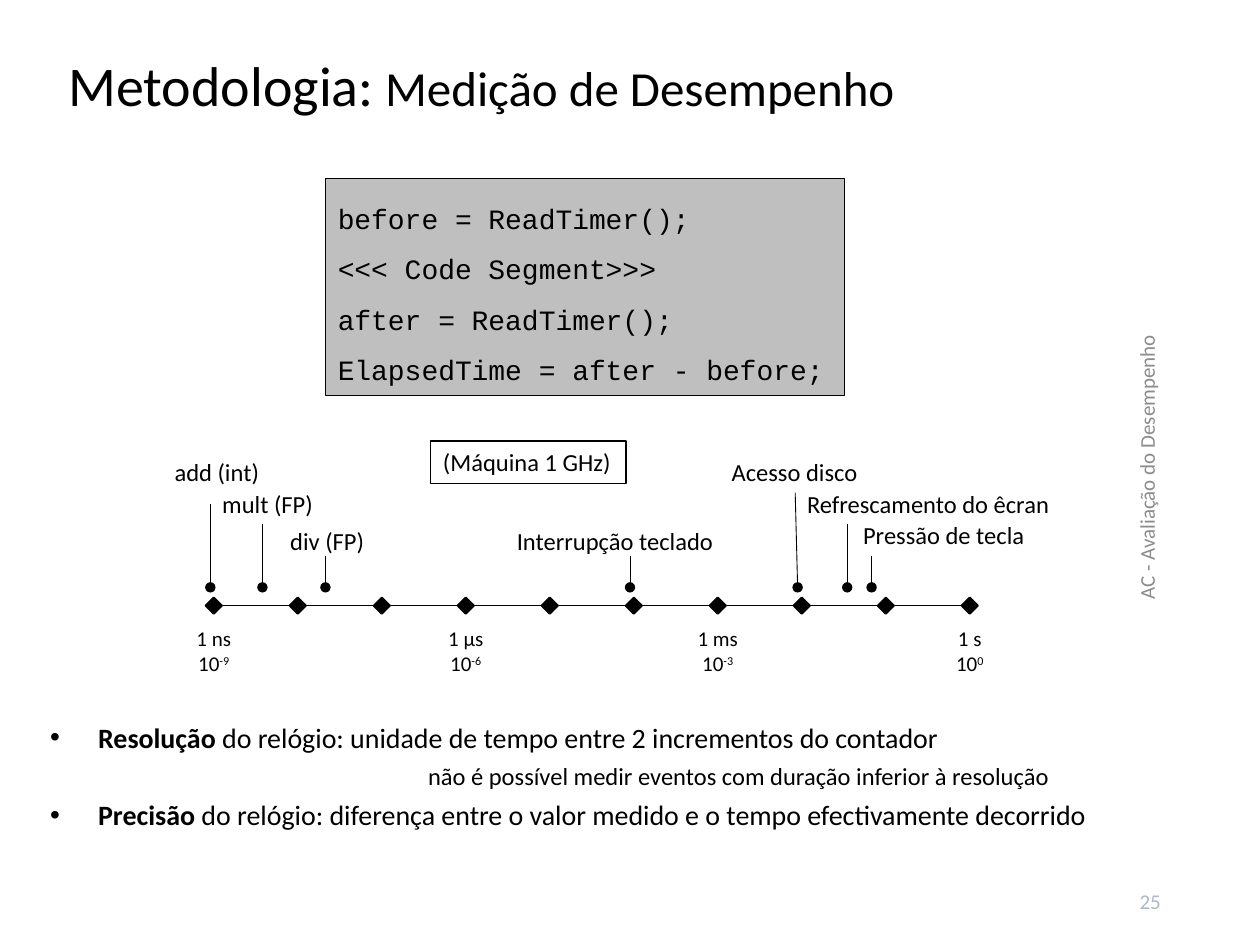
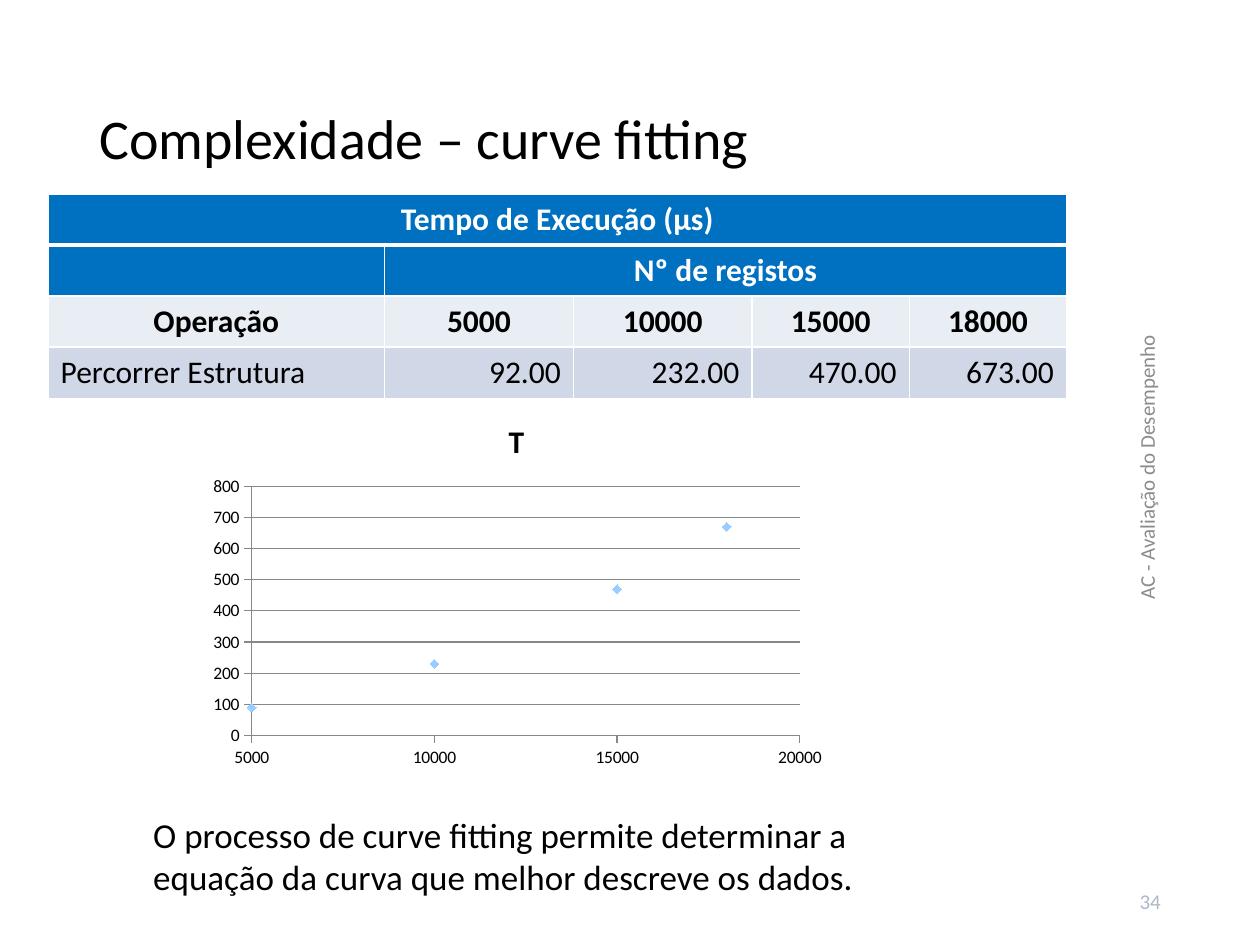
from lxml import etree
from pptx import Presentation
from pptx.chart.data import XyChartData
from pptx.dml.color import RGBColor
from pptx.enum.chart import XL_CHART_TYPE, XL_MARKER_STYLE, XL_TICK_MARK
from pptx.enum.shapes import MSO_CONNECTOR, MSO_SHAPE
from pptx.enum.text import MSO_ANCHOR, MSO_AUTO_SIZE, PP_ALIGN
from pptx.oxml.ns import qn
from pptx.util import Cm, Pt

LEFT, CENTER, RIGHT = PP_ALIGN.LEFT, PP_ALIGN.CENTER, PP_ALIGN.RIGHT
TOP, MIDDLE = MSO_ANCHOR.TOP, MSO_ANCHOR.MIDDLE
GROW = MSO_AUTO_SIZE.SHAPE_TO_FIT_TEXT
RECTANGLE, DIAMOND = MSO_SHAPE.RECTANGLE, MSO_SHAPE.DIAMOND
STRAIGHT = MSO_CONNECTOR.STRAIGHT
SCATTER = XL_CHART_TYPE.XY_SCATTER
DIAMOND_MARKER = XL_MARKER_STYLE.DIAMOND
TICK_OUTSIDE = XL_TICK_MARK.OUTSIDE

BODY_FONT, CODE_FONT = "Calibri", "Courier New"
TITLE_ONLY = 5
COLORS = {
    "text": "000000",
    "page": "ADB9CA",
    "footer": "8C8C8C",
    "code": "BFBFBF",
    "white": "FFFFFF",
    "header": "0070C0",
    "light row": "E9EDF4",
    "dark row": "D0D8E8",
    "grid": "878787",
    "marker": "99CCFF",
}

CODE = [
    "before = ReadTimer();",
    "<<< Code Segment>>>",
    "after = ReadTimer();",
    "ElapsedTime = after - before;",
]

# Time scale: one mark per power of ten, from 1 ns to 1 s
SCALE_LEFT, SCALE_WIDTH, SCALE_Y, SCALE_STEPS = 4.31, 15.24, 12.21, 9
MARK_SIZE = 0.33
PIN_FOOT = 11.84
SCALE_LABELS = [(0, "1 ns", "-9"), (3, "1 µs", "-6"), (6, "1 ms", "-3"), (9, "1 s", "0")]
# label, left, top, width, pin foot x, pin head x, pin head y
EVENTS = [
    ("add (int)", 3.27, 9.09, 2.24, 4.24, 4.24, 10.16),
    ("mult (FP)", 4.23, 9.73, 2.36, 5.29, 5.29, 10.57),
    ("div (FP)", 5.6, 10.47, 2.01, 6.56, 6.56, 11.2),
    ("Interrupção teclado", 10.17, 10.47, 4.5, 12.7, 12.7, 11.2),
    ("Acesso disco", 14.5, 9.09, 3.07, 16.08, 16.03, 9.93),
    ("Refrescamento do êcran", 16.02, 9.73, 5.44, 17.08, 17.08, 10.57),
    ("Pressão de tecla", 17.15, 10.36, 3.78, 17.57, 17.57, 11.2),
]

RECORD_COUNTS = [5000, 10000, 15000, 18000]
TIMES = [92, 232, 470, 673]


def rgb(name):
    return RGBColor.from_string(COLORS[name])


def box(left, top, width, height):
    return Cm(left), Cm(top), Cm(width), Cm(height)


def style(font, size, color="text", bold=False, name=BODY_FONT):
    font.name, font.size, font.bold = name, Pt(size), bold
    font.color.rgb = rgb(color)


def add_child(parent, tag, **attributes):
    return etree.SubElement(parent, qn(tag), attributes)


def write(frame, lines, size, color="text", align=LEFT, name=BODY_FONT, spacing=None):
    for index, line in enumerate(lines):
        paragraph = frame.paragraphs[0] if index == 0 else frame.add_paragraph()
        paragraph.text = line
        paragraph.alignment = align
        paragraph.line_spacing = spacing
        style(paragraph.font, size, color, name=name)


def add_text(shapes, area, lines, size, color="text", align=LEFT,
             anchor=TOP, wrap=True, grow=False):
    label = shapes.add_textbox(*box(*area))
    frame = label.text_frame
    frame.word_wrap, frame.vertical_anchor = wrap, anchor
    if grow:
        frame.auto_size = GROW
    write(frame, lines, size, color, align)
    return label


def add_framed_text(shapes, area, lines, size, fill=None, **text_style):
    frame_shape = shapes.add_shape(RECTANGLE, *box(*area))
    frame_shape.shadow.inherit = False
    if fill:
        frame_shape.fill.solid()
        frame_shape.fill.fore_color.rgb = rgb(fill)
    else:
        frame_shape.fill.background()
    frame_shape.line.color.rgb = rgb("text")
    frame_shape.line.width = Pt(0.75)
    frame = frame_shape.text_frame
    frame.word_wrap, frame.auto_size, frame.vertical_anchor = False, GROW, TOP
    write(frame, lines, size, **text_style)


def add_line(shapes, start, end, dot=False):
    """Draw a thin line, with a round dot at its start if asked."""
    line = shapes.add_connector(STRAIGHT, *map(Cm, start + end))
    line.line.color.rgb = rgb("text")
    line.line.width = Pt(0.5)
    properties = line._element.spPr
    if dot:
        add_child(properties.find(qn("a:ln")), "a:headEnd", type="oval")
    add_child(properties, "a:effectLst")


def add_slide(deck, title_area, title_parts, page):
    """Add a slide with title, page number and sideways footer."""
    slide = deck.slides.add_slide(deck.slide_layouts[TITLE_ONLY])
    title = slide.shapes.title
    title.left, title.top, title.width, title.height = box(*title_area)
    title.text_frame.vertical_anchor = MIDDLE
    paragraph = title.text_frame.paragraphs[0]
    paragraph.alignment, paragraph.line_spacing = LEFT, 0.9
    for text, size in title_parts:
        run = paragraph.add_run()
        run.text = text
        style(run.font, size)
    add_text(slide.shapes, (17.93, 17.65, 5.72, 1.02), [page], 12, "page", RIGHT, MIDDLE)
    footer = add_text(slide.shapes, (16.03, 8.91, 14.17, 1.02),
                      ["AC - Avaliação do Desempenho"], 12, "footer", CENTER, MIDDLE)
    footer.rotation = 270
    return slide


def add_scale_label(shapes, center, unit, exponent):
    label = add_text(shapes, (center - 0.75, 12.48, 1.5, 1.27), [unit, "10"], 12,
                     align=CENTER, wrap=False, grow=True)
    power = label.text_frame.paragraphs[1].add_run()
    power.text = exponent
    power._r.get_or_add_rPr().set("baseline", "30000")


def add_timeline(slide):
    shapes = slide.shapes.add_group_shape().shapes
    add_line(shapes, (SCALE_LEFT, SCALE_Y), (SCALE_LEFT + SCALE_WIDTH, SCALE_Y))
    centers = [SCALE_LEFT + SCALE_WIDTH * i / SCALE_STEPS for i in range(SCALE_STEPS + 1)]
    for center in centers:
        mark = shapes.add_shape(DIAMOND, *box(center - MARK_SIZE / 2, SCALE_Y - MARK_SIZE / 2,
                                              MARK_SIZE, MARK_SIZE))
        mark.shadow.inherit = False
        mark.fill.solid()
        mark.fill.fore_color.rgb = mark.line.color.rgb = rgb("text")
        mark.line.width = Pt(1)
    for step, unit, exponent in SCALE_LABELS:
        add_scale_label(shapes, centers[step], unit, exponent)
    for label, left, top, width, foot_x, head_x, head_y in EVENTS:
        add_text(shapes, (left, top, width, 0.86), [label], 14, wrap=False, grow=True)
        add_line(shapes, (foot_x, PIN_FOOT), (head_x, head_y), dot=True)
    add_framed_text(shapes, (8.68, 8.89, 3.94, 0.86), ["(Máquina 1 GHz)"], 14)


def add_definition(paragraph, term, meaning):
    """Write a bulleted line that opens with a bold term."""
    properties = paragraph._p.get_or_add_pPr()
    properties.set("marL", str(Cm(0.97)))
    properties.set("indent", str(-Cm(0.97)))
    add_child(properties, "a:buFont", typeface="Arial")
    add_child(properties, "a:buChar", char="•")
    paragraph.space_before = Pt(3.2)
    style(paragraph.font, 16)
    for text, bold in ((term, True), (meaning, False)):
        run = paragraph.add_run()
        run.text, run.font.bold = text, bold


def add_definitions(slide):
    frame = slide.shapes.add_textbox(*box(0.76, 14.4, 22.86, 3.05)).text_frame
    frame.word_wrap = True
    add_definition(frame.paragraphs[0], "Resolução",
                   " do relógio: unidade de tempo entre 2 incrementos do contador")
    consequence = frame.add_paragraph()
    consequence._p.get_or_add_pPr().set("marL", str(Cm(7.62)))
    consequence.text = "não é possível medir eventos com duração inferior à resolução"
    consequence.space_before, consequence.space_after = Pt(4), Pt(1)
    style(consequence.font, 14)
    add_definition(frame.add_paragraph(), "Precisão",
                   " do relógio: diferença entre o valor medido e o tempo efectivamente decorrido")


def format_cell(cell, text, fill, color, bold, align, top=1, bottom=1):
    properties = cell._tc.get_or_add_tcPr()
    for side, width in (("L", 1), ("R", 1), ("T", top), ("B", bottom)):
        border = add_child(properties, f"a:ln{side}", w=str(Pt(width)))
        add_child(add_child(border, "a:solidFill"), "a:srgbClr", val=COLORS["white"])
    cell.fill.solid()
    cell.fill.fore_color.rgb = rgb(fill)
    paragraph = cell.text_frame.paragraphs[0]
    paragraph.text, paragraph.alignment = text, align
    style(paragraph.font, 18, color, bold)


def add_times_table(slide):
    # texts, fill, text colour, bold, alignment of values, top and bottom border
    rows = [
        (["Tempo de Execução (µs)"] + [""] * 4, "header", "white", True, CENTER, 1, 3),
        (["", "Nº de registos"] + [""] * 3, "header", "white", True, CENTER, 3, 1),
        (["Operação", *map(str, RECORD_COUNTS)], "light row", "text", True, CENTER, 1, 1),
        (["Percorrer Estrutura"] + [f"{time:.2f}" for time in TIMES],
         "dark row", "text", False, RIGHT, 1, 1),
    ]
    widths = [6.78, 3.81, 3.6, 3.17, 3.17]
    table = slide.shapes.add_table(len(rows), len(widths),
                                   *box(0.97, 3.91, sum(widths), 4.12)).table
    for column, width in zip(table.columns, widths):
        column.width = Cm(width)
    for r, (texts, fill, color, bold, align, top, bottom) in enumerate(rows):
        for c, text in enumerate(texts):
            cell_align = LEFT if align == RIGHT and c == 0 else align
            format_cell(table.cell(r, c), text, fill, color, bold, cell_align, top, bottom)
    table.cell(0, 0).merge(table.cell(0, 4))
    table.cell(1, 1).merge(table.cell(1, 4))


def format_axis(axis, low, high, step, gridlines):
    axis.minimum_scale, axis.maximum_scale, axis.major_unit = low, high, step
    axis.major_tick_mark = TICK_OUTSIDE
    axis.has_major_gridlines = gridlines
    lines = [axis.format.line]
    if gridlines:
        lines.append(axis.major_gridlines.format.line)
    for line in lines:
        line.color.rgb = rgb("grid")
        line.width = Pt(0.75)
    axis.tick_labels.number_format = "General"
    axis.tick_labels.number_format_is_linked = False


def place_plot(chart, **fractions):
    """Fix the inner plot area as fractions of the chart."""
    plot_area = chart._chartSpace.chart.plotArea
    for old in plot_area.findall(qn("c:layout")):
        plot_area.remove(old)
    layout = etree.Element(qn("c:layout"))
    plot_area.insert(0, layout)
    manual = add_child(layout, "c:manualLayout")
    add_child(manual, "c:layoutTarget", val="inner")
    add_child(manual, "c:xMode", val="edge")
    add_child(manual, "c:yMode", val="edge")
    for key, value in fractions.items():
        add_child(manual, f"c:{key}", val=str(value))


def add_times_chart(slide):
    data = XyChartData()
    points = data.add_series("T")
    for count, time in zip(RECORD_COUNTS, TIMES):
        points.add_data_point(count, round(time, -1))
    chart = slide.shapes.add_chart(SCATTER, *box(4.06, 8.05, 12.7, 7.62), data).chart
    style(chart.font, 10)
    chart.has_legend = False
    chart.has_title = True
    heading = chart.chart_title.text_frame.paragraphs[0]
    heading.text = "T"
    style(heading.runs[0].font, 18, bold=True)
    format_axis(chart.category_axis, 5000, 20000, 5000, gridlines=False)
    format_axis(chart.value_axis, 0, 800, 100, gridlines=True)
    place_plot(chart, x=0.08, y=0.23, w=0.87, h=0.66)
    chart.plots[0].vary_by_categories = False
    series = chart.plots[0].series[0]
    series.smooth = False
    series.format.line.fill.background()
    series.marker.style, series.marker.size = DIAMOND_MARKER, 5
    series.marker.format.fill.solid()
    series.marker.format.fill.fore_color.rgb = rgb("marker")
    series.marker.format.line.color.rgb = rgb("marker")


def main():
    deck = Presentation()
    deck.slide_width, deck.slide_height = Cm(25.4), Cm(19.05)

    measuring = add_slide(deck, (1.12, 0.76, 20.45, 2.03),
                          [("Metodologia:", 32), (" Medição de Desempenho", 28)], "25")
    add_definitions(measuring)
    add_framed_text(measuring.shapes, (6.56, 3.6, 10.46, 4.37), CODE, 16,
                    fill="code", name=CODE_FONT, spacing=1.5)
    add_timeline(measuring)

    fitting = add_slide(deck, (1.75, 1, 21.89, 3.68),
                        [("Complexidade – curve fitting", 32)], "34")
    add_times_table(fitting)
    add_times_chart(fitting)
    add_text(fitting.shapes, (2.84, 16.28, 16.15, 1.96),
             ["O processo de curve fitting permite determinar a equação da curva "
              "que melhor descreve os dados."], 20, grow=True)

    deck.save("out.pptx")


if __name__ == "__main__":
    main()
